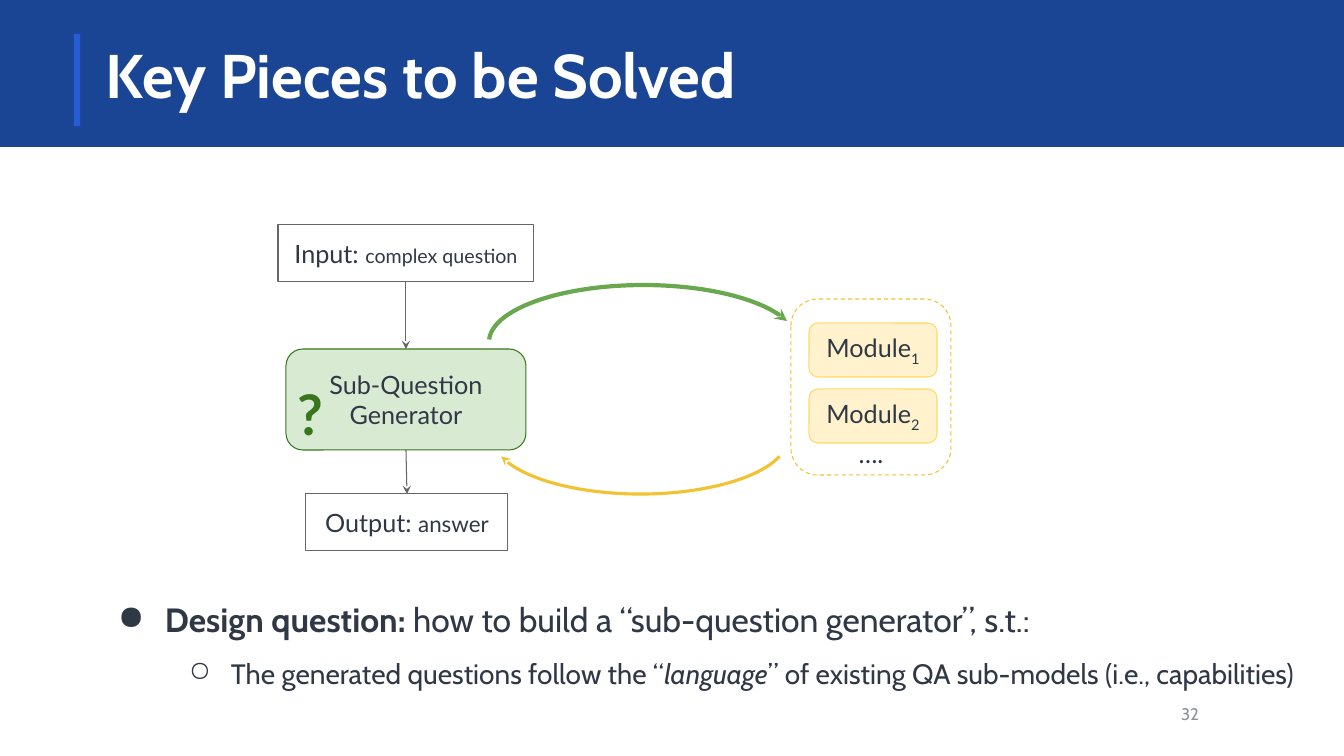
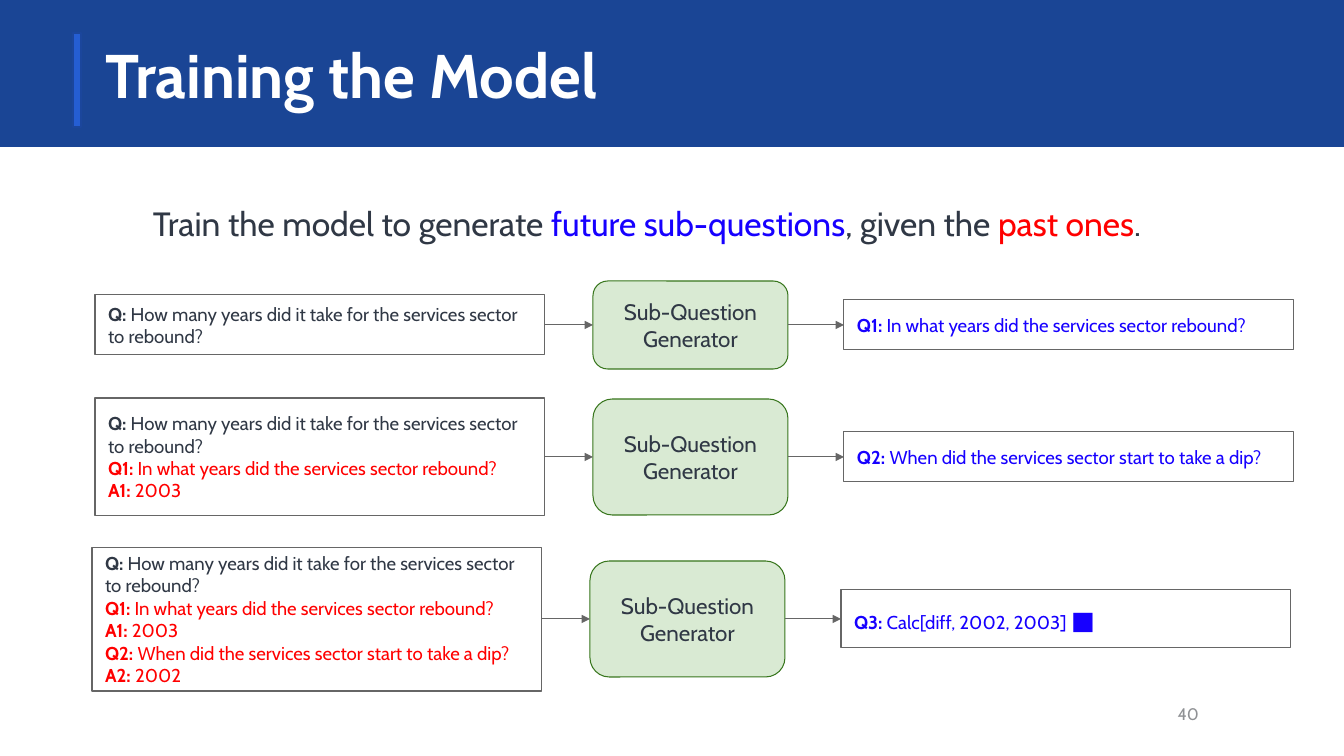
"""Build two slides on a sub-question generator: its key pieces and its training."""
import pptx
import pptx.dml.color
import pptx.enum.dml
import pptx.enum.shapes
import pptx.enum.text
import pptx.oxml.ns
import pptx.util
from lxml import etree

PX = 914400 / 100.8
COLORS = {
    "band": "1A4595", "accent": "255ED3", "accent_line": "1B469C", "white": "FFFFFF",
    "text": "303845", "page": "8F9194", "gray": "666666", "blue": "1700FF", "red": "FF0000",
    "green_fill": "D9EAD3", "green_line": "38761D", "green_arc": "6AA84F",
    "gold": "F1C232", "module_fill": "FFF2CC", "module_line": "FFD966",
}
SHAPE = pptx.enum.shapes.MSO_SHAPE
ALIGN = pptx.enum.text.PP_ALIGN
ANCHOR = pptx.enum.text.MSO_ANCHOR
qn = pptx.oxml.ns.qn


def add_box(slide, kind, bounds, fill=None, line=None, width=0.75):
    """Add a preset shape, or a text box when kind is None."""
    left, top, wide, high = [round(value * PX) for value in bounds]
    if kind is None:
        return slide.shapes.add_textbox(left, top, wide, high)
    shape = slide.shapes.add_shape(kind, left, top, wide, high)
    shape.shadow.inherit = False
    if fill:
        shape.fill.solid()
        shape.fill.fore_color.rgb = pptx.dml.color.RGBColor.from_string(COLORS[fill])
    else:
        shape.fill.background()
    shape.line.color.rgb = pptx.dml.color.RGBColor.from_string(COLORS[line])
    shape.line.width = pptx.util.Pt(width)
    return shape


def write(shape, paragraphs, size, font="Cabin", color="text", align=ALIGN.LEFT,
          anchor=ANCHOR.MIDDLE, inset=(13, 13), spacing=None):
    """Fill a shape with paragraphs, each a list of (text, run options)."""
    frame = shape.text_frame
    frame.word_wrap = True
    frame.vertical_anchor = anchor
    frame.margin_left = frame.margin_right = round(inset[0] * PX)
    frame.margin_top = frame.margin_bottom = round(inset[1] * PX)
    for index, runs in enumerate(paragraphs):
        paragraph = frame.paragraphs[0] if index == 0 else frame.add_paragraph()
        paragraph.alignment = align
        if spacing:
            paragraph.line_spacing = spacing
        paragraph.font.name = font
        paragraph.font.size = pptx.util.Pt(size)
        paragraph.font.color.rgb = pptx.dml.color.RGBColor.from_string(COLORS[color])
        for text, options in runs:
            run = paragraph.add_run()
            run.text = text
            if "bold" in options:
                run.font.bold = True
            if "italic" in options:
                run.font.italic = True
            if "size" in options:
                run.font.size = pptx.util.Pt(options["size"])
            if "color" in options:
                run.font.color.rgb = pptx.dml.color.RGBColor.from_string(COLORS[options["color"]])
            if "subscript" in options:
                run._r.get_or_add_rPr().set("baseline", "-25000")


presentation = pptx.Presentation()
presentation.slide_width = round(1344 * PX)
presentation.slide_height = round(756 * PX)

slides = []
for title, number in [("Key Pieces to be Solved", "32"), ("Training the Model", "40")]:
    slide = presentation.slides.add_slide(presentation.slide_layouts[6])
    add_box(slide, SHAPE.RECTANGLE, (0, 0, 1344, 146), "band", "band", 1)
    add_box(slide, SHAPE.RECTANGLE, (73, 33, 8, 94), "accent", "accent_line", 1)
    write(add_box(slide, None, (93, 32, 1159, 106)), [[(title, {"bold": True})]], 44,
          color="white", anchor=ANCHOR.TOP, spacing=0.9)
    write(add_box(slide, None, (1154, 694, 58, 40)), [[(number, {})]], 12,
          color="page", align=ALIGN.RIGHT)
    slides.append(slide)
pieces, training = slides
links = []

question = add_box(pieces, None, (87, 598, 1222, 82))
write(question, [
    [("Design question: ", {"bold": True}),
     ("how to build a “sub-question generator”, s.t.:", {})],
    [("The generated questions follow the “", {}), ("language", {"italic": True}),
     ("” of existing QA sub-models (i.e., capabilities)", {})],
], 24, anchor=ANCHOR.TOP, inset=(10, 5))
bullets = [("●", 68, 47, 24, 0.9), ("○", 134, 42, 20, 1.5)]
for paragraph, (mark, margin, hanging, size, spacing) in zip(question.text_frame.paragraphs, bullets):
    properties = paragraph._p.get_or_add_pPr()
    properties.set("marL", str(round(margin * PX)))
    properties.set("indent", str(-round(hanging * PX)))
    bullet_color = etree.Element(qn("a:buClr"))
    etree.SubElement(bullet_color, qn("a:srgbClr")).set("val", COLORS["text"])
    bullet = etree.Element(qn("a:buChar"))
    bullet.set("char", mark)
    defaults = properties.find(qn("a:defRPr"))
    defaults.addprevious(bullet_color)
    defaults.addprevious(bullet)
    paragraph.line_spacing = spacing
    paragraph.font.size = pptx.util.Pt(size)

modules = add_box(pieces, SHAPE.ROUNDED_RECTANGLE, (791, 299, 160, 176), None, "gold")
modules.line.dash_style = pptx.enum.dml.MSO_LINE.DASH
for index in range(2):
    module = add_box(pieces, SHAPE.ROUNDED_RECTANGLE, (809, 323 + 66 * index, 128, 54),
                     "module_fill", "module_line")
    write(module, [[("Module", {}), (str(index + 1), {"subscript": True})]], 18, "Lato",
          align=ALIGN.CENTER)
write(add_box(pieces, None, (826, 425, 90, 57)), [[("….", {})]], 18, "Lato",
      align=ALIGN.CENTER, anchor=ANCHOR.TOP)

generator = add_box(pieces, SHAPE.ROUNDED_RECTANGLE, (286, 349, 240, 101), "green_fill", "green_line")
write(generator, [[("Sub-Question Generator", {})]], 18, "Lato", align=ALIGN.CENTER)
write(add_box(pieces, None, (278, 367, 64, 95)), [[("?", {"bold": True})]], 40, "Lato",
      color="green_line", align=ALIGN.CENTER, anchor=ANCHOR.TOP)

ends = []
for bounds, label, detail, size in [
    ((278, 225, 256, 57), "Input: ", "complex question", 14),
    ((306, 494, 202, 57), "Output: ", "answer", 16),
]:
    end = add_box(pieces, SHAPE.RECTANGLE, bounds, None, "gray")
    write(end, [[(label, {}), (detail, {"size": size})]], 18, "Lato", align=ALIGN.CENTER)
    ends.append(end)
links.append((pieces, ends[0], 2, generator, 0, "stealth"))
links.append((pieces, generator, 2, ends[1], 0, "stealth"))

for bounds, color, width, start, stop, rotation in [
    ((493, 381, 295, 113), "gold", 2.25, 112.62, 211.36, 180),
    ((489, 285, 309, 114), "green_arc", 3, 112.98, 215.43, 0),
]:
    arc = add_box(pieces, SHAPE.ARC, bounds, None, color, width)
    arc.adjustments[0] = start
    arc.adjustments[1] = stop
    arc.rotation = rotation
    arc._element.spPr.find(qn("a:xfrm")).set("flipH", "1")
    etree.SubElement(arc.line._get_or_add_ln(), qn("a:headEnd")).set("type", "stealth")

write(add_box(training, None, (143, 202, 1140, 56)), [[
    ("Train the model to generate ", {}), ("future sub-questions", {"color": "blue"}),
    (", given the ", {}), ("past ones", {"color": "red"}), (".", {}),
]], 24, anchor=ANCHOR.TOP, inset=(10, 5), spacing=0.9)

history = [
    ("Q:", " How many years did it take for the services sector to rebound?"),
    ("Q1:", " In what years did the services sector rebound?"),
    ("A1:", " 2003"),
    ("Q2:", " When did the services sector start to take a dip?"),
    ("A2:", " 2002"),
]
calculation = [("Q3:", {"bold": True}), (" Calc[diff, 2002, 2003] ", {}), ("■", {"size": 18})]
targets = [[(history[index][0], {"bold": True}), (history[index][1], {})] for index in (1, 3)]
targets.append(calculation)
rows = [(95, 325, 60, 88, 50), (95, 457, 118, 116, 50), (92, 619, 144, 116, 58)]
for index, (left, middle, context_high, generator_high, target_high) in enumerate(rows):
    context = add_box(training, SHAPE.RECTANGLE,
                      (left, middle - context_high // 2, 450, context_high), None, "gray")
    lines = []
    for position, (label, text) in enumerate(history[:2 * index + 1]):
        color = "red" if position else "text"
        lines.append([(label, {"bold": True, "color": color}), (text, {"color": color})])
    write(context, lines, 13.3)
    generator = add_box(training, SHAPE.ROUNDED_RECTANGLE,
                        (left + 498, middle - generator_high // 2, 195, generator_high),
                        "green_fill", "green_line")
    write(generator, [[("Sub-Question Generator", {})]], 16, align=ALIGN.CENTER)
    target = add_box(training, SHAPE.RECTANGLE,
                     (left + 749, middle - target_high // 2, 450, target_high), None, "gray")
    write(target, [targets[index]], 13.3, color="blue")
    links.append((training, context, 3, generator, 1, "triangle"))
    links.append((training, generator, 3, target, 1, "triangle"))

for slide, source, source_side, destination, destination_side, head in links:
    connector = slide.shapes.add_connector(pptx.enum.shapes.MSO_CONNECTOR.STRAIGHT, 0, 0, 0, 0)
    connector.begin_connect(source, source_side)
    connector.end_connect(destination, destination_side)
    connector.line.color.rgb = pptx.dml.color.RGBColor.from_string(COLORS["gray"])
    connector.line.width = pptx.util.Pt(0.75)
    etree.SubElement(connector.line._get_or_add_ln(), qn("a:tailEnd")).set("type", head)
    etree.SubElement(connector._element.spPr, qn("a:effectLst"))

presentation.save("out.pptx")
